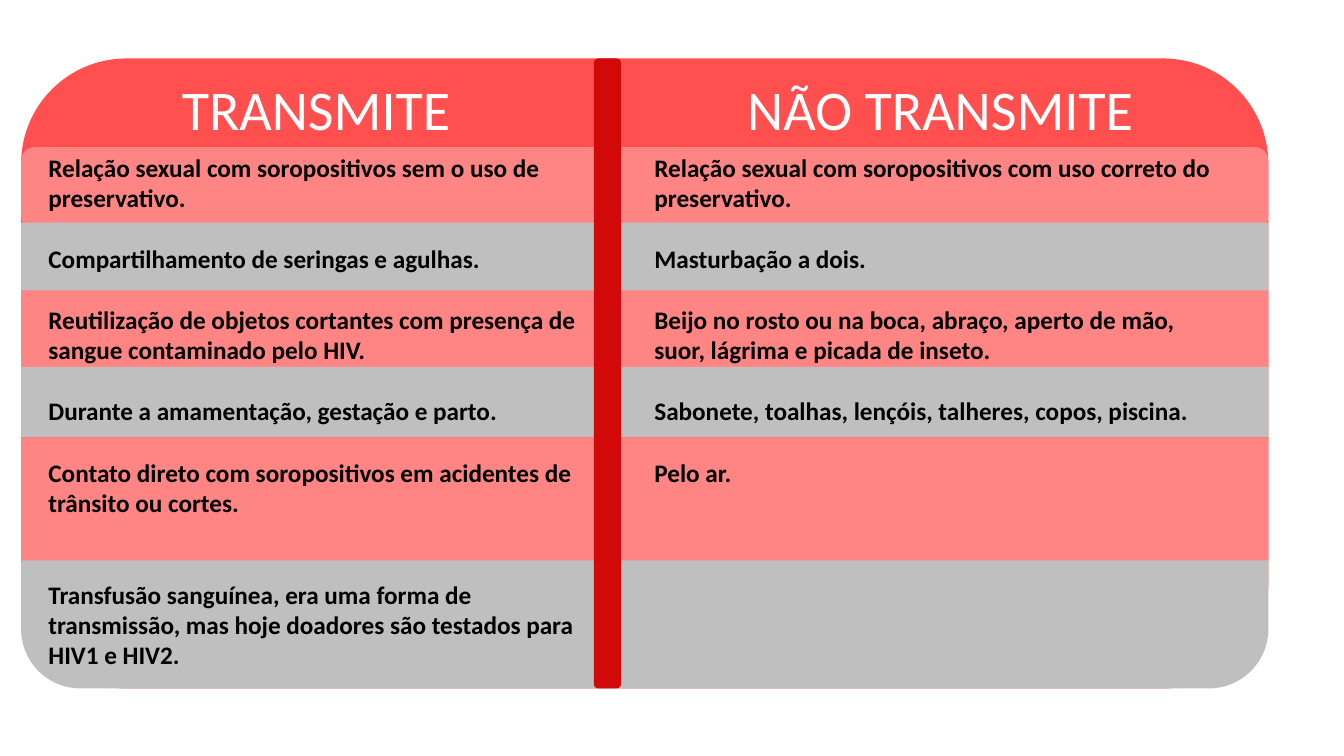
from pptx import Presentation
from pptx.dml.color import RGBColor
from pptx.enum.shapes import MSO_SHAPE as Kind
from pptx.enum.text import MSO_ANCHOR as Anchor, MSO_AUTO_SIZE as Fit, PP_ALIGN as Align
from pptx.oxml.ns import qn
from pptx.util import Inches, Pt

RED = RGBColor(0xFF, 0x4F, 0x4F)
PINK = RGBColor(0xFF, 0x85, 0x85)
GRAY = RGBColor(0xBF, 0xBF, 0xBF)
DARK = RGBColor(0xD1, 0x09, 0x09)
BLACK = RGBColor(0, 0, 0)
WHITE = RGBColor(0xFF, 0xFF, 0xFF)

LINE = 22
LEFT, TOP, WIDE, TALL = 0.21, 0.58, 12.37, 6.25

SIDES = [
    {"head": "TRANSMITE", "head_x": (1.66, 2.95), "list_box": (0.38, 1.46, 5.51, 5.25),
     "items": [
         ("Relação sexual com soropositivos sem o uso de preservativo.", 0),
         ("Compartilhamento de seringas e agulhas.", 1),
         ("Reutilização de objetos cortantes com presença de sangue contaminado pelo HIV.", 1),
         ("Durante a amamentação, gestação e parto.", 1),
         ("Contato direto com soropositivos em acidentes de trânsito ou cortes.", 1),
         ("Transfusão sanguínea, era uma forma de transmissão, mas hoje doadores "
          "são testados para HIV1 e HIV2.", 2)]},
    {"head": "NÃO TRANSMITE", "head_x": (7.26, 4.13), "list_box": (6.39, 1.46, 5.88, 3.74),
     "items": [
         ("Relação sexual com soropositivos com uso correto do preservativo.", 0),
         ("Masturbação a dois.", 1),
         ("Beijo no rosto ou na boca, abraço, aperto de mão, suor, lágrima e picada de inseto.", 1),
         ("Sabonete, toalhas, lençóis, talheres, copos, piscina.", 1),
         ("Pelo ar.", 1)]},
]

BANDS = [
    (TOP, TALL, 0.167, RED),
    (5.03, 1.8, 0.327, GRAY),
    (1.46, 0.82, 0.163, PINK),
    (2.21, 0.7, 0, GRAY),
    (2.88, 0.77, 0, PINK),
    (3.64, 0.7, 0, GRAY),
    (4.34, 1.22, 0, PINK),
]

deck = Presentation()
deck.slide_width, deck.slide_height = Inches(13.33), Inches(7.5)
slide = deck.slides.add_slide(deck.slide_layouts.get_by_name("Comparison"))
title = slide.shapes.title
title.element.getparent().remove(title.element)


def add_band(x, y, w, h, curve, color):
    band = slide.shapes.add_shape(Kind.ROUNDED_RECTANGLE, *map(Inches, (x, y, w, h)))
    band.adjustments[0] = curve
    band.fill.solid()
    band.fill.fore_color.rgb = color
    band.line.fill.background()
    band.shadow.inherit = False


def fill_text(slot, box, items, size, bold, color, align, anchor):
    holder = slide.placeholders[slot]
    holder.left, holder.top, holder.width, holder.height = map(Inches, box)
    slide.shapes._spTree.append(holder.element)
    frame = holder.text_frame
    frame.text = "\n".join(text for text, gap in items)
    frame.word_wrap, frame.auto_size = True, Fit.NONE
    frame.vertical_anchor = anchor
    for para, (text, gap) in zip(frame.paragraphs, items):
        para.alignment, para.space_before = align, Pt(gap * LINE)
        font = para.font
        font.name, font.size, font.bold = "Calibri", Pt(size), bold
        font.color.rgb = color
        for run in para.runs:
            run.font.name, run.font.size, run.font.bold = "Calibri", Pt(size), bold
            run.font.color.rgb = color
        props = para._p.get_or_add_pPr()
        props.set("marL", "0")
        props.set("indent", "0")
        mark = props.makeelement(qn("a:buNone"), {})
        props.find(qn("a:defRPr")).addprevious(mark)


for top, tall, curve, color in BANDS:
    add_band(LEFT, top, WIDE, tall, curve, color)
add_band(5.89, TOP, 0.27, TALL, 0.167, DARK)

for num, side in enumerate(SIDES):
    x, wide = side["head_x"]
    fill_text(1 + 2 * num, (x, 0.69, wide, 0.77), [(side["head"], 0)],
              40, False, WHITE, Align.CENTER, Anchor.MIDDLE)
    fill_text(2 + 2 * num, side["list_box"], side["items"],
              18, True, BLACK, Align.LEFT, Anchor.TOP)

deck.save("out.pptx")
